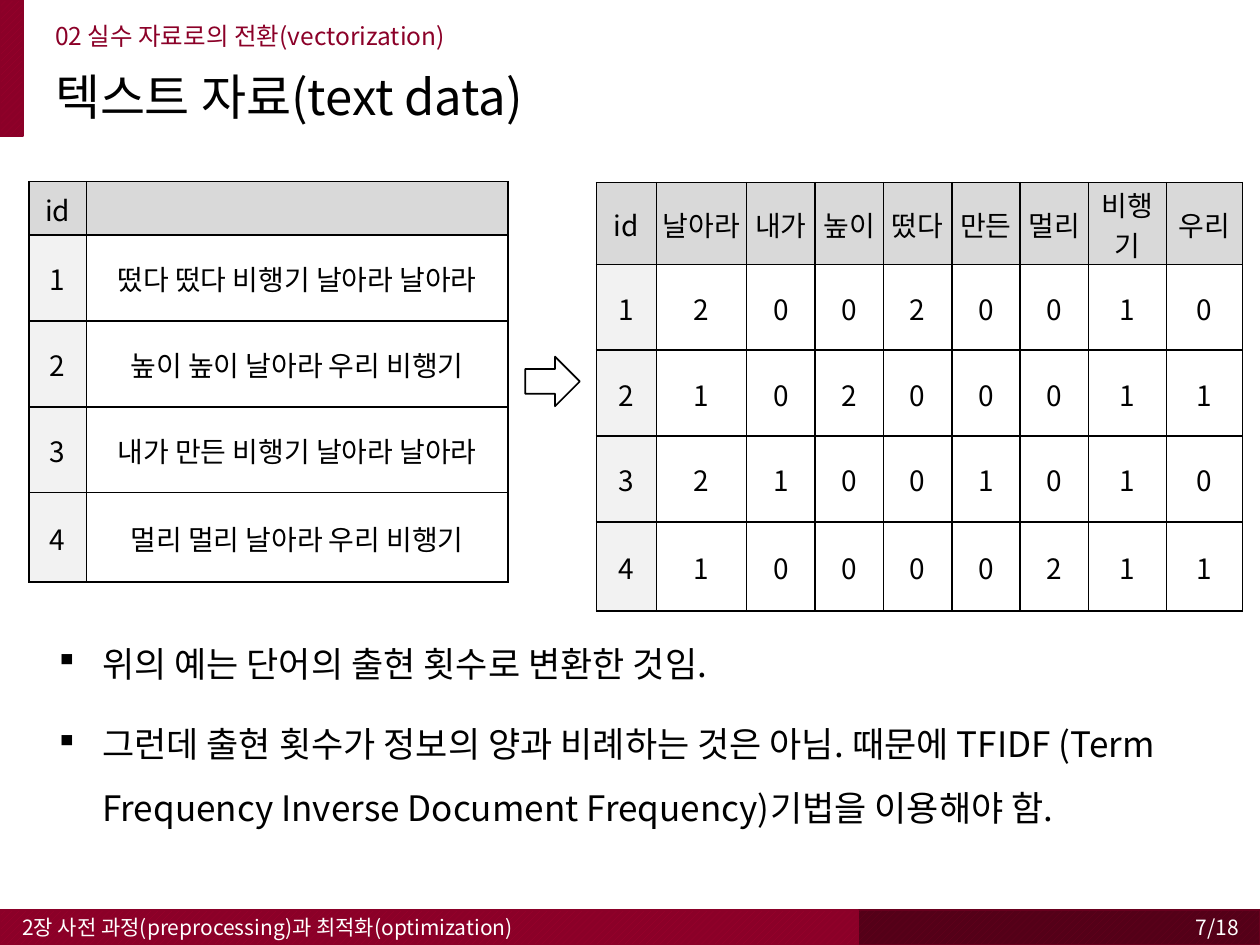
"""Build the text vectorization slide with python-pptx."""
from lxml import etree
from pptx import Presentation
from pptx.dml.color import RGBColor
from pptx.enum.dml import MSO_PATTERN
from pptx.enum.shapes import MSO_SHAPE
from pptx.enum.text import MSO_ANCHOR, MSO_AUTO_SIZE, PP_ALIGN
from pptx.oxml import parse_xml
from pptx.oxml.ns import nsdecls, qn
from pptx.util import Cm, Pt

LEFT, CENTER, RIGHT = PP_ALIGN.LEFT, PP_ALIGN.CENTER, PP_ALIGN.RIGHT
TOP, MIDDLE = MSO_ANCHOR.TOP, MSO_ANCHOR.MIDDLE
FIT = MSO_AUTO_SIZE.TEXT_TO_FIT_SHAPE
FONT = "Noto Sans CJK KR"
BLACK, WHITE, CRIMSON = "000000", "FFFFFF", "8B0028"
HEAD_FILL, ID_FILL = "D9D9D9", "F2F2F2"

BANDS = [
    ((16.97, 18.34, 8.43, 0.71), "68001E", "540018", "68001E"),
    ((0, 18.34, 17.3, 0.71), "9E002D", CRIMSON, CRIMSON),
    ((0, 0, 0.46, 2.74), "9E002D", CRIMSON, CRIMSON),
]
SECTION = "02 실수 자료로의 전환(vectorization)"
TITLE = "텍스트 자료(text data)"
CHAPTER = "2장 사전 과정(preprocessing)과 최적화(optimization)"
PAGE = "7/18"
BULLETS = [
    "위의 예는 단어의 출현 횟수로 변환한 것임.",
    "그런데 출현 횟수가 정보의 양과 비례하는 것은 아님. 때문에 TFIDF "
    "(Term Frequency Inverse Document Frequency)기법을 이용해야 함.",
]
SENTENCES = [
    "떴다 떴다 비행기 날아라 날아라",
    "높이 높이 날아라 우리 비행기",
    "내가 만든 비행기 날아라 날아라",
    "멀리 멀리 날아라 우리 비행기",
]
WORDS = ["날아라", "내가", "높이", "떴다", "만든", "멀리", "비행기", "우리"]
SENTENCE_COLS = [1.16, 8.5]
COUNT_COLS = [1.21, 1.82] + [1.38] * 5 + [1.57, 1.53]
SENTENCE_HEAD, COUNT_HEAD = 1.08, 1.65
BODY_HEIGHTS = [1.73, 1.73, 1.73, 1.8]
ARROW = (10.59, 7.19, 1.1, 1)


def rgb(color):
    return RGBColor.from_string(color)


def box(at):
    return [Cm(v) for v in at]


def write(p, text, size=16, color=BLACK, align=LEFT, spacing=None, before=None):
    p.alignment, p.line_spacing = align, spacing
    if before:
        p.space_before = Pt(before)
    r = p.add_run()
    r.text = text
    r.font.size, r.font.name = Pt(size), FONT
    r.font.color.rgb = rgb(color)
    rPr = r.font._element
    rPr.set("kern", "0")
    etree.SubElement(rPr, qn("a:ea"), typeface=FONT)


def add_text(s, at, texts, anchor=TOP, fit=False, bullet=None, **fmt):
    tf = s.shapes.add_textbox(*box(at)).text_frame
    tf.word_wrap, tf.vertical_anchor = True, anchor
    if fit:
        tf.auto_size = FIT
    for i, text in enumerate(texts):
        p = tf.add_paragraph() if i else tf.paragraphs[0]
        write(p, text, **fmt)
        if bullet:
            pPr = p._p.get_or_add_pPr()
            pPr.set("marL", str(Cm(0.95)))
            pPr.set("indent", str(-Cm(0.95)))
            etree.SubElement(pPr, qn("a:buSzPct"), val="90000")
            etree.SubElement(pPr, qn("a:buChar"), char=bullet)


def add_shape(s, kind, at, line):
    sp = s.shapes.add_shape(kind, *box(at))
    sp.shadow.inherit = False
    sp.line.color.rgb, sp.line.width = rgb(line), Pt(1)
    return sp


def add_borders(cell):
    tcPr = cell._tc.get_or_add_tcPr()
    for i, side in enumerate(("lnL", "lnR", "lnT", "lnB")):
        tcPr.insert(i, parse_xml(
            f'<a:{side} {nsdecls("a")} w="{Pt(1)}"><a:solidFill>'
            f'<a:srgbClr val="{BLACK}"/></a:solidFill></a:{side}>'))


def add_table(s, left, top, widths, head, rows):
    heights = [head] + BODY_HEIGHTS
    size = box((left, top, sum(widths), sum(heights)))
    table = s.shapes.add_table(len(rows), len(widths), *size).table
    table.first_row = table.horz_banding = False
    for col, width in zip(table.columns, widths):
        col.width = Cm(width)
    for i, (row, height) in enumerate(zip(rows, heights)):
        table.rows[i].height = Cm(height)
        for j, text in enumerate(row):
            cell = table.cell(i, j)
            cell.vertical_anchor = MIDDLE
            cell.margin_left = cell.margin_right = cell.margin_top = Cm(0.03)
            cell.margin_bottom = 0
            if i and j:
                cell.fill.background()
            else:
                cell.fill.solid()
                cell.fill.fore_color.rgb = rgb(ID_FILL if i else HEAD_FILL)
            add_borders(cell)
            if text:
                write(cell.text_frame.paragraphs[0], text, align=CENTER)


def main():
    prs = Presentation()
    prs.slide_width, prs.slide_height = Cm(25.4), Cm(19.05)
    s = prs.slides.add_slide(prs.slide_layouts[6])

    for at, fore, back, line in BANDS:
        fill = add_shape(s, MSO_SHAPE.RECTANGLE, at, line).fill
        fill.patterned()
        fill.pattern = MSO_PATTERN.WIDE_UPWARD_DIAGONAL
        fill.fore_color.rgb, fill.back_color.rgb = rgb(fore), rgb(back)

    add_text(s, (0.86, 1.35, 23.44, 1.42), [TITLE], fit=True,
             size=28, spacing=0.9, before=10)
    add_text(s, (0.86, 0.43, 23.44, 0.66), [SECTION], anchor=MIDDLE,
             size=14, color=CRIMSON, spacing=0.9, before=10)
    add_text(s, (0.2, 18.34, 11.18, 0.71), [CHAPTER], anchor=MIDDLE,
             size=12, color=WHITE)
    add_text(s, (0.86, 12.4, 23.44, 5.21), BULLETS, fit=True, bullet="▪",
             size=20, spacing=1.5, before=10)

    sentences = [("id", "")]
    counts = [["id"] + WORDS]
    for i, sentence in enumerate(SENTENCES, 1):
        tokens = sentence.split()
        sentences.append((str(i), sentence))
        counts.append([str(i)] + [str(tokens.count(w)) for w in WORDS])
    add_table(s, 0.58, 3.66, SENTENCE_COLS, SENTENCE_HEAD, sentences)
    add_table(s, 12.02, 3.68, COUNT_COLS, COUNT_HEAD, counts)

    fill = add_shape(s, MSO_SHAPE.RIGHT_ARROW, ARROW, BLACK).fill
    fill.solid()
    fill.fore_color.rgb = rgb(WHITE)
    add_text(s, (19.51, 18.34, 5.72, 0.71), [PAGE], anchor=MIDDLE,
             size=12, color=WHITE, align=RIGHT)
    prs.save("out.pptx")


if __name__ == "__main__":
    main()
